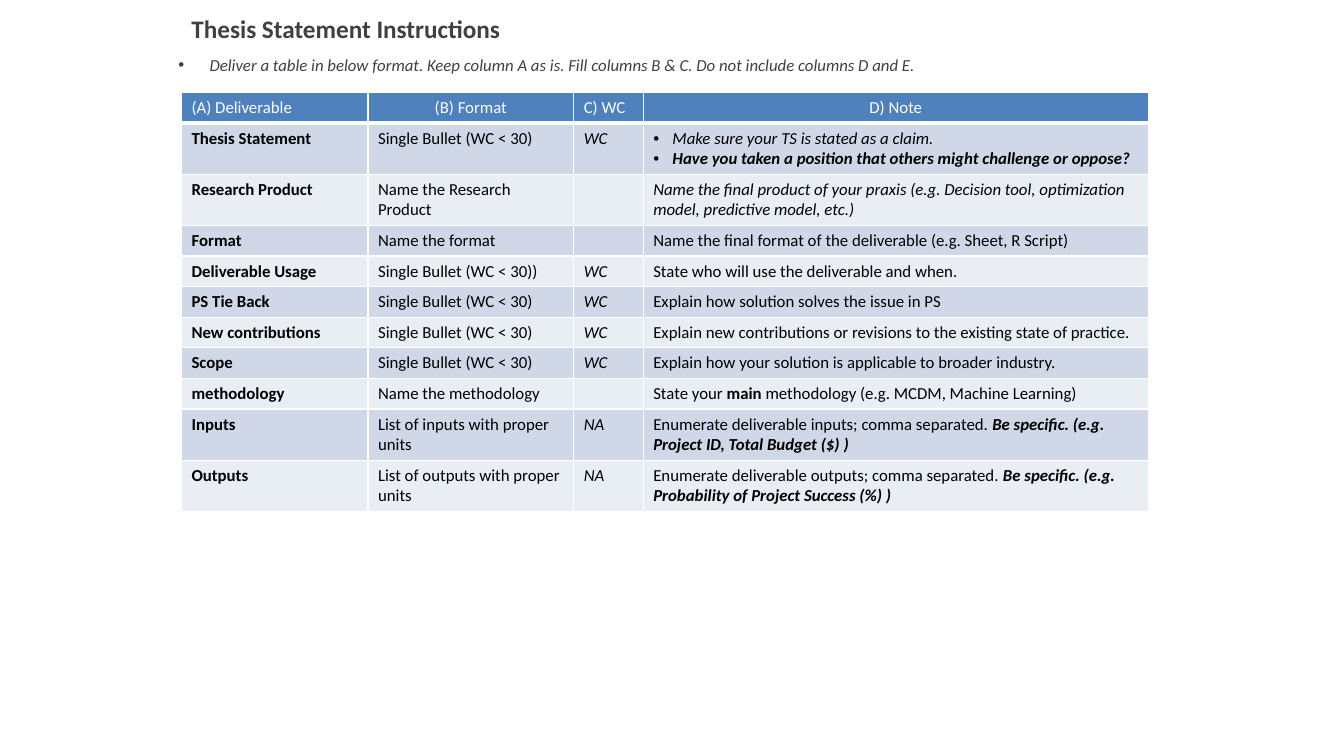
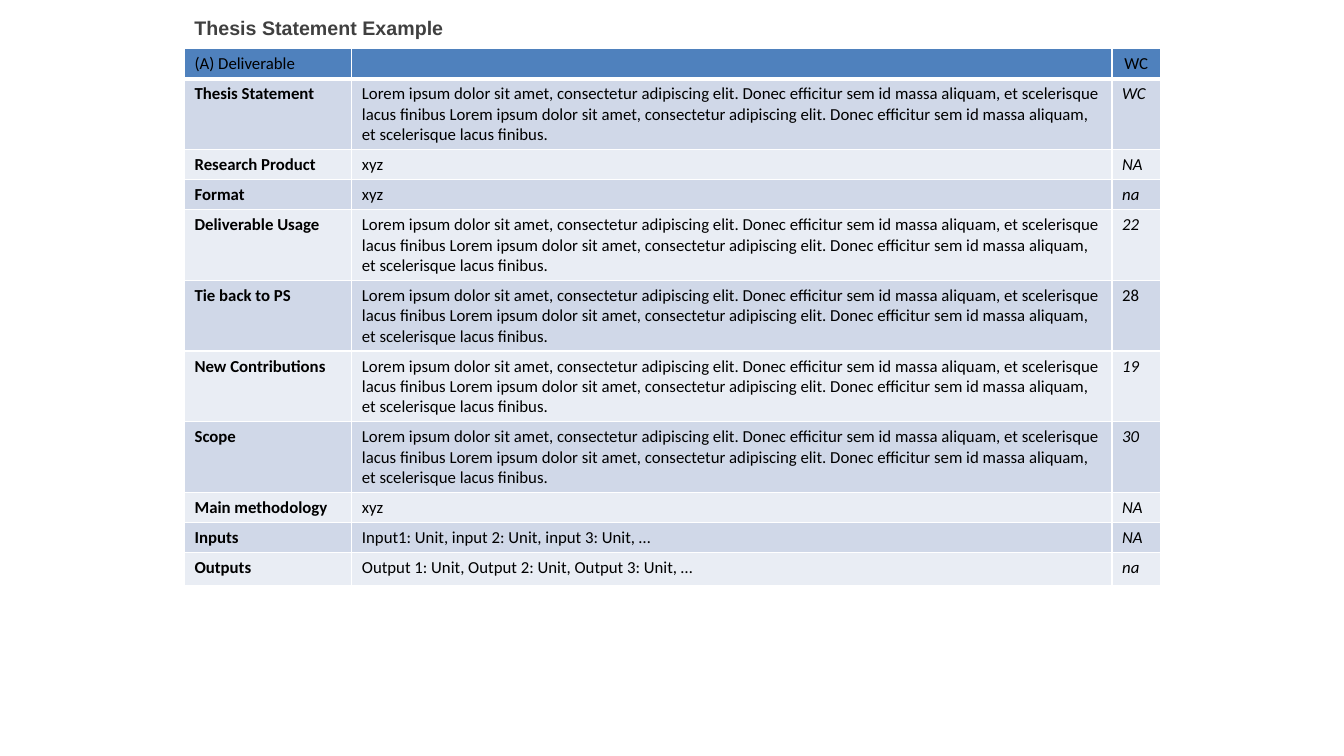
from dataclasses import dataclass
from typing import NamedTuple

from lxml import etree
from pptx import Presentation
from pptx.dml.color import RGBColor
from pptx.enum.text import MSO_ANCHOR, PP_ALIGN
from pptx.oxml.ns import qn
from pptx.util import Pt

LEFT, CENTER = PP_ALIGN.LEFT, PP_ALIGN.CENTER
TOP = MSO_ANCHOR.TOP
EMU_PER_PX = 9144  # 100 px to the inch
SLIDE_WIDTH, SLIDE_HEIGHT = 1333, 750
ONE_LINE, TWO_LINES, THREE_LINES = 30, 50, 70
LOREM = (
    "Lorem ipsum dolor sit amet, consectetur adipiscing elit. "
    "Donec efficitur sem id massa aliquam, et scelerisque lacus finibus "
    "Lorem ipsum dolor sit amet, consectetur adipiscing elit. "
    "Donec efficitur sem id massa aliquam, et scelerisque lacus finibus."
)


@dataclass(frozen=True)
class Theme:
    heading: str = "404040"
    header_fill: str = "4F81BD"
    bands: tuple[str, str] = ("D0D8E8", "E9EDF4")
    border: str = "FFFFFF"
    light_text: str = "FFFFFF"
    dark_text: str = "000000"
    body_font: str = "Calibri"
    example_font: str = "Arial"
    body_size: int = 12
    title_size: int = 18
    example_title_size: int = 14
    border_width: int = 1
    header_rule: int = 3


THEME = Theme()


class Box(NamedTuple):
    left: int
    top: int
    width: int
    height: int


class Run(NamedTuple):
    text: str
    bold: bool = False
    italic: bool = False


class Line(NamedTuple):
    """One paragraph; bullet_indent is its hanging indent in px, 0 for no bullet."""
    runs: tuple[Run, ...]
    align: PP_ALIGN = LEFT
    bullet_indent: int = 0


class Style(NamedTuple):
    size: int = THEME.body_size
    color: str = THEME.dark_text
    font: str = THEME.body_font


class Row(NamedTuple):
    height: int
    cells: tuple[tuple[Line, ...], ...]


def px(length: int) -> int:
    return length * EMU_PER_PX


def line(text: str, bold: bool = False, italic: bool = False,
         align: PP_ALIGN = LEFT, bullet_indent: int = 0) -> Line:
    return Line((Run(text, bold, italic),), align, bullet_indent)


def mixed(*runs: Run) -> tuple[Line, ...]:
    return (Line(runs),)


def note(text: str, italic: bool = False) -> tuple[Line, ...]:
    return (line(text, italic=italic),)


def body_row(height: int, name: str, content: str, count: str,
             *notes: tuple[Line, ...], italic_count: bool = True) -> Row:
    """A row of bold name, plain content, word count and any note cells."""
    return Row(height, ((line(name, bold=True),), note(content),
                        note(count, italic_count), *notes))


def add_bullet(paragraph, indent: int) -> None:
    properties = paragraph._p.get_or_add_pPr()
    properties.set("marL", str(px(indent)))
    properties.set("indent", str(-px(indent)))
    etree.SubElement(properties, qn("a:buFont")).set("typeface", "Arial")
    etree.SubElement(properties, qn("a:buChar")).set("char", "•")


def write_lines(text_frame, lines: tuple[Line, ...], style: Style) -> None:
    for index, content in enumerate(lines):
        paragraph = text_frame.add_paragraph() if index else text_frame.paragraphs[0]
        paragraph.alignment = content.align
        if content.bullet_indent:
            add_bullet(paragraph, content.bullet_indent)
        font = paragraph.font
        font.name, font.size = style.font, Pt(style.size)
        font.color.rgb = RGBColor.from_string(style.color)
        if len(content.runs) == 1:
            font.bold, font.italic = content.runs[0].bold, content.runs[0].italic
        for part in content.runs:
            if not part.text:
                end = etree.SubElement(paragraph._p, qn("a:endParaRPr"))
                end.set("sz", str(style.size * 100))
                continue
            run = paragraph.add_run()
            run.text = part.text
            if len(content.runs) > 1:
                run.font.bold, run.font.italic = part.bold, part.italic


def add_text(slide, box: Box, content: Line, style: Style) -> None:
    shape = slide.shapes.add_textbox(*map(px, box))
    shape.text_frame.word_wrap = True
    shape.text_frame.vertical_anchor = TOP
    write_lines(shape.text_frame, (content,), style)


def set_borders(cell, bottom_width: int) -> None:
    properties = cell._tc.get_or_add_tcPr()
    for index, side in enumerate(("lnL", "lnR", "lnT", "lnB")):
        width = bottom_width if side == "lnB" else THEME.border_width
        border = etree.Element(qn(f"a:{side}"), w=str(Pt(width)))
        fill = etree.SubElement(border, qn("a:solidFill"))
        etree.SubElement(fill, qn("a:srgbClr")).set("val", THEME.border)
        properties.insert(index, border)


def add_banded_table(slide, left: int, top: int, widths: tuple[int, ...],
                     rows: tuple[Row, ...], header_color: str) -> None:
    box = Box(left, top, sum(widths), sum(row.height for row in rows))
    table = slide.shapes.add_table(len(rows), len(widths), *map(px, box)).table
    table.first_row = table.horz_banding = False
    for column, width in zip(table.columns, widths):
        column.width = px(width)
    for row_index, row in enumerate(rows):
        is_header = row_index == 0
        table.rows[row_index].height = px(row.height)
        fill = THEME.header_fill if is_header else THEME.bands[(row_index - 1) % 2]
        style = Style(color=header_color if is_header else THEME.dark_text)
        for column_index, lines in enumerate(row.cells):
            cell = table.cell(row_index, column_index)
            cell.fill.solid()
            cell.fill.fore_color.rgb = RGBColor.from_string(fill)
            set_borders(cell, THEME.header_rule if is_header else THEME.border_width)
            write_lines(cell.text_frame, lines, style)


BULLET = "Single Bullet (WC < 30)"

INSTRUCTION_ROWS = (
    Row(ONE_LINE, (note("(A) Deliverable"), (line("(B) Format", align=CENTER),),
                   note("C) WC"), (line("D) Note", align=CENTER),))),
    body_row(TWO_LINES, "Thesis Statement", BULLET, "WC", (
        line("Make sure your TS is stated as a claim.", italic=True, bullet_indent=19),
        line("Have you taken a position that others might challenge or oppose?",
             bold=True, italic=True, bullet_indent=19))),
    body_row(TWO_LINES, "Research Product", "Name the Research Product", "",
             note("Name the final product of your praxis (e.g. Decision tool, "
                  "optimization model, predictive model, etc.)", italic=True)),
    body_row(ONE_LINE, "Format", "Name the format", "",
             note("Name the final format of the deliverable (e.g. Sheet, R Script)")),
    body_row(ONE_LINE, "Deliverable Usage", BULLET + ")", "WC",
             note("State who will use the deliverable and when.")),
    body_row(ONE_LINE, "PS Tie Back", BULLET, "WC",
             note("Explain how solution solves the issue in PS")),
    body_row(ONE_LINE, "New contributions", BULLET, "WC",
             note("Explain new contributions or revisions to the existing state of practice.")),
    body_row(ONE_LINE, "Scope", BULLET, "WC",
             note("Explain how your solution is applicable to broader industry.")),
    body_row(ONE_LINE, "methodology", "Name the methodology", "",
             mixed(Run("State your "), Run("main", bold=True),
                   Run(" methodology (e.g. MCDM, Machine Learning)"))),
    body_row(TWO_LINES, "Inputs", "List of inputs with proper units", "NA",
             mixed(Run("Enumerate deliverable inputs; comma separated. "),
                   Run("Be specific. (e.g. Project ID, Total Budget ($) )", True, True))),
    body_row(TWO_LINES, "Outputs", "List of outputs with proper units", "NA",
             mixed(Run("Enumerate deliverable outputs; comma separated. "),
                   Run("Be specific. (e.g. Probability of Project Success (%) )", True, True))),
)

EXAMPLE_ROWS = (
    Row(ONE_LINE, (note("(A) Deliverable"), note(""), (line("WC", align=CENTER),))),
    body_row(THREE_LINES, "Thesis Statement", LOREM, "WC"),
    body_row(ONE_LINE, "Research Product", "xyz", "NA"),
    body_row(ONE_LINE, "Format", "xyz", "na"),
    body_row(THREE_LINES, "Deliverable Usage", LOREM, "22"),
    body_row(THREE_LINES, "Tie back to PS", LOREM, "28", italic_count=False),
    body_row(THREE_LINES, "New Contributions", LOREM, "19"),
    body_row(THREE_LINES, "Scope", LOREM, "30"),
    body_row(ONE_LINE, "Main methodology", "xyz", "NA"),
    body_row(ONE_LINE, "Inputs", "Input1: Unit, input 2: Unit, input 3: Unit, …", "NA"),
    body_row(33, "Outputs", "Output 1: Unit, Output 2: Unit, Output 3: Unit, …", "na"),
)


def build_instructions(slide) -> None:
    add_banded_table(slide, 180, 92, (185, 204, 69, 501),
                     INSTRUCTION_ROWS, THEME.light_text)
    add_text(slide, Box(180, 8, 838, 27), line("Thesis Statement Instructions", bold=True),
             Style(THEME.title_size, THEME.heading))
    add_text(slide, Box(167, 49, 887, 29),
             line("Deliver a table in below format. Keep column A as is. "
                  "Fill columns B & C. Do not include columns D and E.",
                  italic=True, bullet_indent=31),
             Style(color=THEME.heading))


def build_example(slide) -> None:
    add_banded_table(slide, 183, 48, (166, 754, 48), EXAMPLE_ROWS, THEME.dark_text)
    add_text(slide, Box(183, 11, 396, 38), line("Thesis Statement Example", bold=True),
             Style(THEME.example_title_size, THEME.heading, THEME.example_font))


def main() -> None:
    presentation = Presentation()
    presentation.slide_width, presentation.slide_height = px(SLIDE_WIDTH), px(SLIDE_HEIGHT)
    blank_layout = presentation.slide_layouts[6]
    for build in (build_instructions, build_example):
        build(presentation.slides.add_slide(blank_layout))
    presentation.save("out.pptx")


if __name__ == "__main__":
    main()
